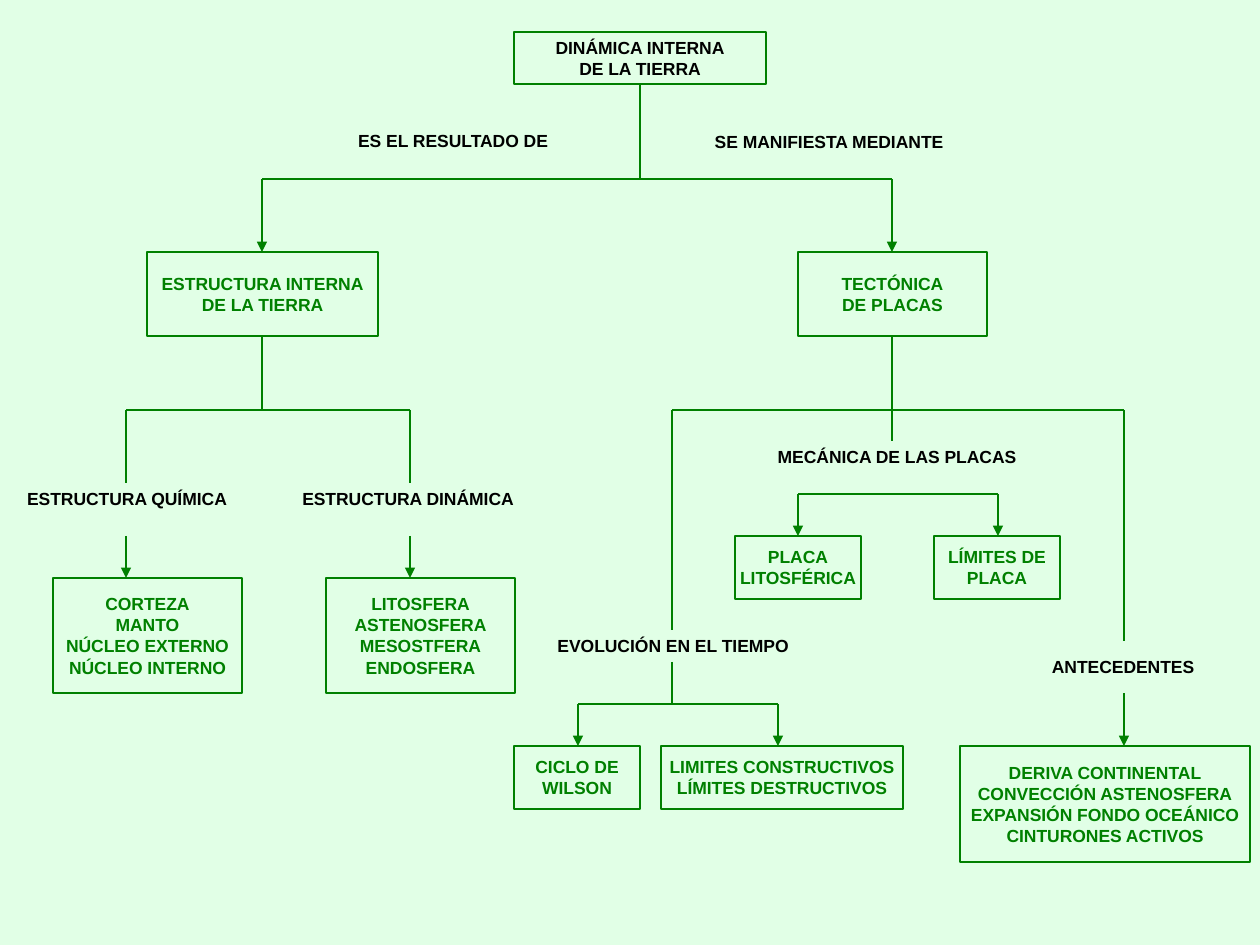
from lxml.etree import SubElement
from pptx import Presentation
from pptx.dml.color import RGBColor
from pptx.enum.shapes import MSO_CONNECTOR, MSO_SHAPE
from pptx.enum.text import MSO_ANCHOR, PP_ALIGN
from pptx.oxml.ns import qn
from pptx.util import Emu, Pt

PX = 914400 / 126
MINT = RGBColor(0xE1, 0xFF, 0xE6)
GREEN = RGBColor(0x00, 0x80, 0x00)
BLACK = RGBColor(0x00, 0x00, 0x00)

presentation = Presentation()
presentation.slide_width = Emu(round(1260 * PX))
presentation.slide_height = Emu(round(945 * PX))
slide = presentation.slides.add_slide(presentation.slide_layouts[6])
slide.background.fill.solid()
slide.background.fill.fore_color.rgb = MINT


def write_lines(shape, lines, color, wrap, anchor):
    """Fill a shape with centred bold lines, one paragraph each."""
    frame = shape.text_frame
    frame_format = {
        "word_wrap": wrap, "vertical_anchor": anchor,
        "margin_left": Emu(round(11 * PX)), "margin_right": Emu(round(11 * PX)),
        "margin_top": Emu(round(5 * PX)), "margin_bottom": Emu(round(5 * PX)),
    }
    for name, value in frame_format.items():
        setattr(frame, name, value)
    for index, line in enumerate(lines):
        paragraph = frame.add_paragraph() if index else frame.paragraphs[0]
        paragraph.text = line
        paragraph.alignment = PP_ALIGN.CENTER
        for name, value in {"name": "Arial", "size": Pt(10), "bold": True}.items():
            setattr(paragraph.font, name, value)
        paragraph.font.color.rgb = color


def add_line(x1, y1, x2, y2, width=0.75, arrow=False):
    ends = [Emu(round(value * PX)) for value in (x1, y1, x2, y2)]
    connector = slide.shapes.add_connector(MSO_CONNECTOR.STRAIGHT, *ends)
    connector.line.color.rgb = GREEN
    connector.line.width = Pt(width)
    if arrow:
        SubElement(connector.line._get_or_add_ln(), qn("a:tailEnd"), type="triangle")
    SubElement(connector._element.spPr, qn("a:effectLst"))


# Concept boxes: left, top, width, height, text colour, lines
boxes = [
    (514, 32, 252, 52, BLACK, ["DINÁMICA INTERNA", "DE LA TIERRA"]),
    (147, 252, 231, 84, GREEN, ["ESTRUCTURA INTERNA", "DE LA TIERRA"]),
    (798, 252, 189, 84, GREEN, ["TECTÓNICA", "DE PLACAS"]),
    (53, 578, 189, 115, GREEN,
     ["CORTEZA", "MANTO", "NÚCLEO EXTERNO", "NÚCLEO INTERNO"]),
    (326, 578, 189, 115, GREEN,
     ["LITOSFERA", "ASTENOSFERA", "MESOSTFERA", "ENDOSFERA"]),
    (735, 536, 126, 63, GREEN, ["PLACA", "LITOSFÉRICA"]),
    (934, 536, 126, 63, GREEN, ["LÍMITES DE", "PLACA"]),
    (514, 746, 126, 63, GREEN, ["CICLO DE", "WILSON"]),
    (661, 746, 242, 63, GREEN, ["LIMITES CONSTRUCTIVOS", "LÍMITES DESTRUCTIVOS"]),
    (960, 746, 290, 116, GREEN,
     ["DERIVA CONTINENTAL", "CONVECCIÓN ASTENOSFERA",
      "EXPANSIÓN FONDO OCEÁNICO", "CINTURONES ACTIVOS"]),
]
for *bounds, color, lines in boxes:
    box = slide.shapes.add_shape(
        MSO_SHAPE.RECTANGLE, *[Emu(round(value * PX)) for value in bounds])
    box.shadow.inherit = False
    box.fill.solid()
    box.fill.fore_color.rgb = MINT
    box.line.color.rgb = GREEN
    box.line.width = Pt(0.75)
    write_lines(box, lines, color, False, MSO_ANCHOR.MIDDLE)

# Linking words: centre, top, width, text
labels = [
    (453, 125, 220, "ES EL RESULTADO DE"),
    (829, 126, 258, "SE MANIFIESTA MEDIANTE"),
    (127, 483, 280, "ESTRUCTURA QUÍMICA"),
    (408, 483, 280, "ESTRUCTURA DINÁMICA"),
    (897, 441, 280, "MECÁNICA DE LAS PLACAS"),
    (673, 630, 280, "EVOLUCIÓN EN EL TIEMPO"),
    (1123, 651, 168, "ANTECEDENTES"),
]
for center, top, width, text in labels:
    bounds = (center - width / 2, top, width, 33)
    label = slide.shapes.add_textbox(*[Emu(round(value * PX)) for value in bounds])
    write_lines(label, [text], BLACK, True, MSO_ANCHOR.TOP)

# Horizontal bars: left, right, y
for left, right, y in [(262, 892, 179), (126, 410, 410), (672, 1124, 410),
                       (798, 998, 494), (578, 778, 704)]:
    add_line(right, y, left, y, width=1.5)

# Plain verticals: x, top, bottom
for x, top, bottom in [(640, 84, 179), (262, 336, 410), (892, 336, 410),
                       (126, 410, 483), (410, 410, 483), (672, 410, 630),
                       (892, 410, 441), (1124, 410, 641), (672, 662, 704)]:
    add_line(x, top, x, bottom)

# Vertical arrows: x, top, bottom
for x, top, bottom in [(262, 179, 252), (892, 179, 252), (126, 536, 578),
                       (410, 536, 578), (798, 494, 536), (998, 494, 536),
                       (578, 704, 746), (778, 704, 746), (1124, 693, 746)]:
    add_line(x, top, x, bottom, arrow=True)

presentation.save("out.pptx")
